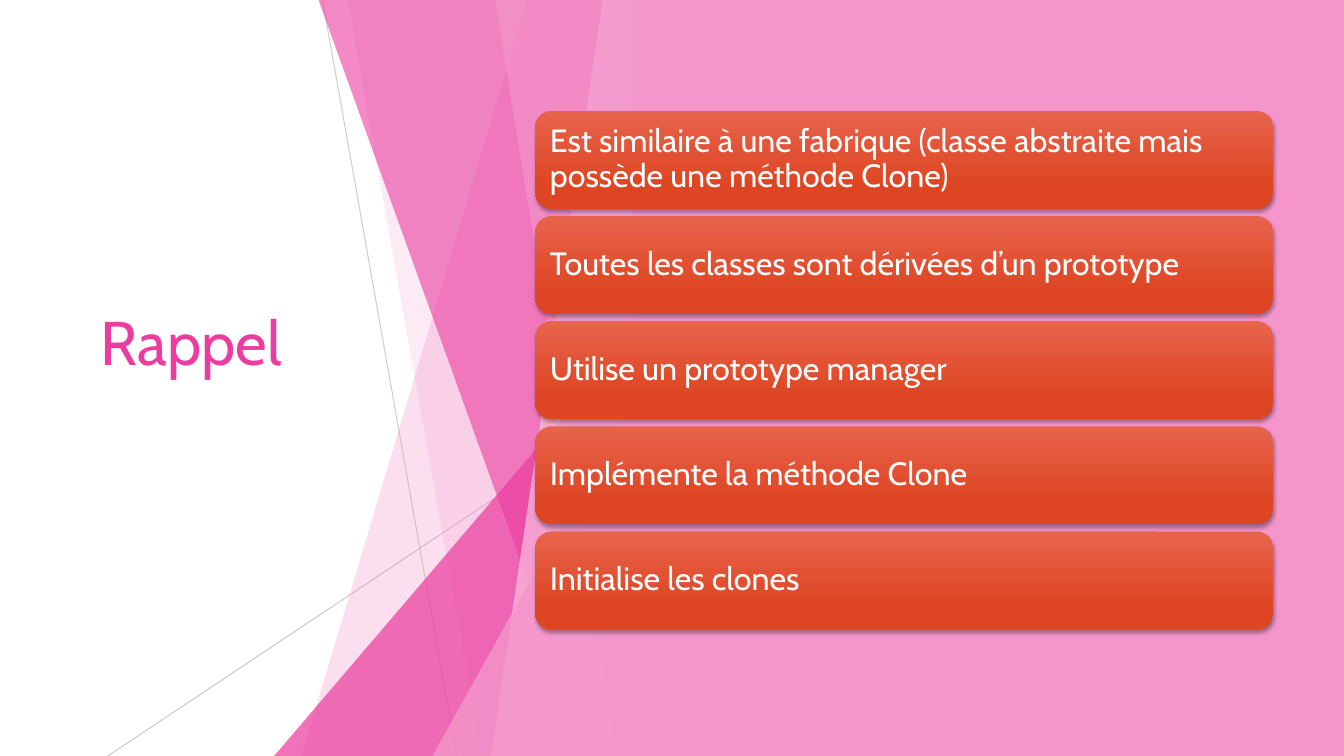
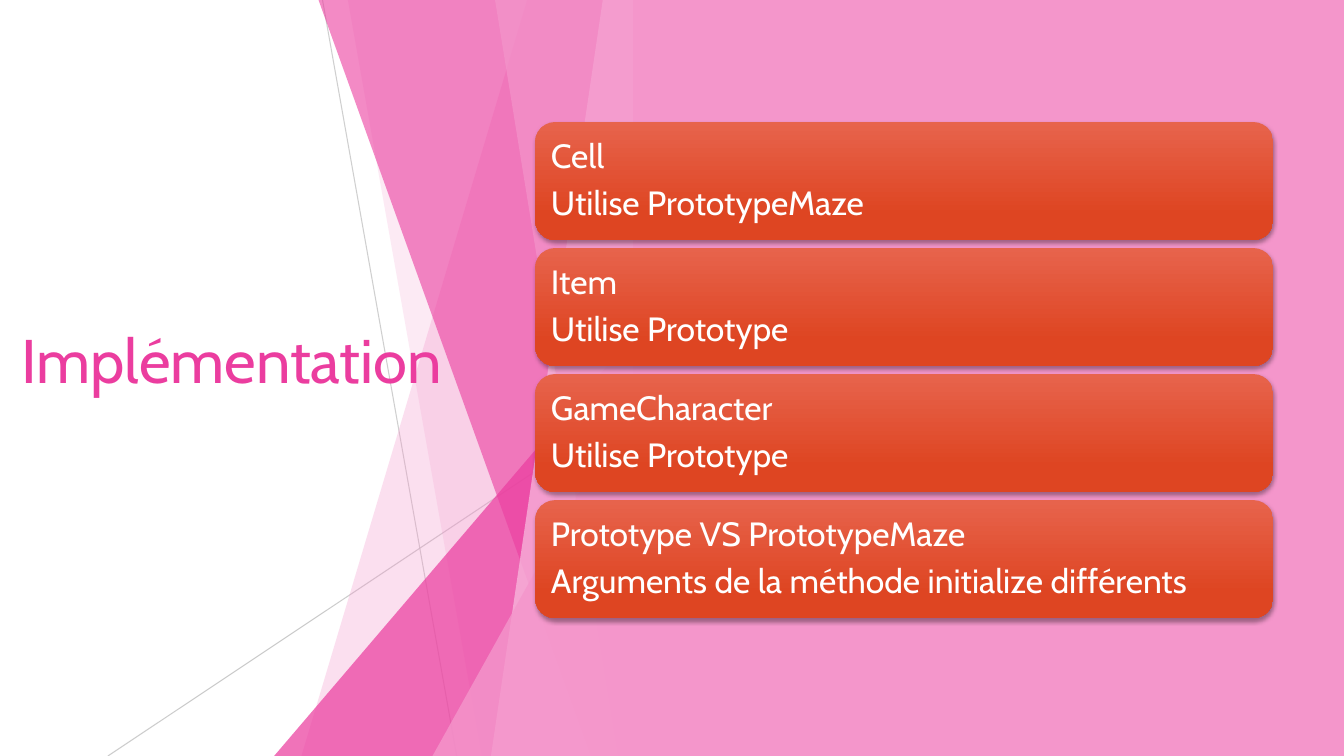
import dataclasses

import lxml.etree
import pptx
import pptx.dml.color
import pptx.enum.shapes
import pptx.enum.text
import pptx.oxml.ns
import pptx.util

Pt = pptx.util.Pt
Inches = pptx.util.Inches
PRESET = pptx.enum.shapes.MSO_SHAPE
ALIGN = pptx.enum.text.PP_ALIGN
MIDDLE = pptx.enum.text.MSO_ANCHOR.MIDDLE
qn = pptx.oxml.ns.qn


@dataclasses.dataclass(frozen=True)
class Theme:
    font: str = "Cabin"
    magenta: str = "EB3D9F"
    pink: str = "F496CB"
    pale: str = "F8C0E0"
    grey: str = "BFBFBF"
    white: str = "FFFFFF"
    shadow: str = "000000"
    card_top: str = "E7634C"
    card_base: str = "DE4522"
    title_size: int = 44
    hairline: float = 0.75


THEME = Theme()
WIDTH, HEIGHT = Inches(13.33), Inches(7.5)

# Lengths below are percentages of the slide's width (x) or height (y).
PANEL_LEFT = 47.1
CARD_LEFT, CARD_WIDTH, CARDS_MIDDLE = 39.83, 54.9, 48.95
TITLE_HEIGHT = 59.73

# Start, end, opacity
HAIRLINES = [
    ((24, 0), (33.98, 100), 75),
    ((PANEL_LEFT, 53.73), (8.03, 100), 80),
]
# Bands give the left edge at top and bottom; wedges give the left and the top.
FACETS = [
    ("band", 39.23, 22.43, THEME.pink, 30),
    ("band", 25.88, 35.85, THEME.pink, 20),
    ("wedge", 20.4, 44.4, THEME.magenta, 72),
    ("band", 23.7, 43.95, THEME.magenta, 60),
    ("band", 44.85, 36.53, THEME.pale, 70),
    ("band", 36.83, 45.98, THEME.pink, 65),
    ("wedge", 32.18, 52.4, THEME.pink, 80),
]

SLIDES = [
    {
        "title": ("Rappel", -0.08, 20.13, 28.65),
        "cards": [
            ["Est similaire à une fabrique (classe abstraite mais possède une méthode Clone)"],
            ["Toutes les classes sont dérivées d’un prototype"],
            ["Utilise un prototype manager"],
            ["Implémente la méthode Clone"],
            ["Initialise les clones"],
        ],
        "card_height": 12.93, "gap": 0.98, "size": 23,
    },
    {
        "title": ("Implémentation", 0, 22.53, 34.5),
        "cards": [
            ["Cell", "Utilise PrototypeMaze"],
            ["Item", "Utilise Prototype"],
            ["GameCharacter", "Utilise Prototype"],
            ["Prototype VS PrototypeMaze", "Arguments de la méthode initialize différents"],
        ],
        "card_height": 15.6, "gap": 1.07, "size": 24,
    },
]


def across(percent):
    return round(WIDTH * percent / 100)


def down(percent):
    return round(HEIGHT * percent / 100)


def point(x, y):
    return across(x), down(y)


def rgb(value):
    return pptx.dml.color.RGBColor.from_string(value)


def apply(target, formats):
    for name, value in formats.items():
        setattr(target, name, value)


def set_opacity(shape, percent):
    for color in shape.element.spPr.iter(qn("a:srgbClr")):
        lxml.etree.SubElement(color, qn("a:alpha"), val=str(percent * 1000))


def paint(shape, color, opacity=100):
    shape.shadow.inherit = False
    shape.line.fill.background()
    shape.fill.solid()
    shape.fill.fore_color.rgb = rgb(color)
    if opacity < 100:
        set_opacity(shape, opacity)


def add_hairline(page, start, end, opacity):
    line = page.shapes.add_connector(
        pptx.enum.shapes.MSO_CONNECTOR.STRAIGHT, *point(*start), *point(*end))
    line.line.width = Pt(THEME.hairline)
    line.line.color.rgb = rgb(THEME.grey)
    set_opacity(line, opacity)
    lxml.etree.SubElement(line.element.spPr, qn("a:effectLst"))


def add_band(page, top_left, bottom_left):
    """Full-height sheet with a slanted left side, ending at the panel."""
    outline = page.shapes.build_freeform(*point(top_left, 0), scale=1.0)
    outline.add_line_segments([
        point(PANEL_LEFT, 0), point(PANEL_LEFT, 100), point(bottom_left, 100)])
    return outline.convert_to_shape()


def add_wedge(page, left, top):
    """Right triangle standing on the slide's base against the panel."""
    wedge = page.shapes.add_shape(
        PRESET.ISOSCELES_TRIANGLE, *point(left, top),
        *point(PANEL_LEFT - left, 100 - top))
    wedge.adjustments[0] = 1
    return wedge


def add_facets(page):
    for hairline in HAIRLINES:
        add_hairline(page, *hairline)
    builders = {"band": add_band, "wedge": add_wedge}
    for kind, first, second, color, opacity in FACETS:
        paint(builders[kind](page, first, second), color, opacity)


def add_panel(page):
    panel = page.shapes.add_shape(
        PRESET.RECTANGLE, *point(PANEL_LEFT, 0), *point(100 - PANEL_LEFT, 100))
    paint(panel, THEME.pink)


def write(box, lines, size, color, frame_formats, para_formats):
    frame = box.text_frame
    apply(frame, {"word_wrap": True, "vertical_anchor": MIDDLE, **frame_formats})
    for index, line in enumerate(lines):
        para = frame.add_paragraph() if index else frame.paragraphs[0]
        apply(para, para_formats)
        span = para.add_run()
        span.text = line
        apply(span.font, {"name": THEME.font, "size": Pt(size)})
        span.font.color.rgb = rgb(color)


def add_title(page, text, left, top, width):
    box = page.shapes.add_textbox(*point(left, top), *point(width, TITLE_HEIGHT))
    # The deep bottom margin lifts the title by half a line.
    write(box, [text], THEME.title_size, THEME.magenta,
          {"margin_bottom": Inches(0.79)}, {"alignment": ALIGN.CENTER})


def add_shadow(shape):
    shape.shadow.inherit = False
    effects = shape.element.spPr.find(qn("a:effectLst"))
    shadow = lxml.etree.SubElement(
        effects, qn("a:outerShdw"), blurRad=str(Pt(3)), dist=str(Pt(2)),
        dir="5400000", rotWithShape="0")
    color = lxml.etree.SubElement(shadow, qn("a:srgbClr"), val=THEME.shadow)
    lxml.etree.SubElement(color, qn("a:alpha"), val="35000")


def add_card(page, lines, top, height, size):
    card = page.shapes.add_shape(
        PRESET.ROUNDED_RECTANGLE, *point(CARD_LEFT, top), *point(CARD_WIDTH, height))
    card.line.fill.background()
    card.fill.gradient()
    card.fill.gradient_angle = 270
    stops = [(0, THEME.card_top), (0.78, THEME.card_base)]
    for stop, (position, color) in zip(card.fill.gradient_stops, stops):
        stop.position = position
        stop.color.rgb = rgb(color)
    add_shadow(card)
    margins = {f"margin_{side}": Inches(0.1)
               for side in ("left", "top", "right", "bottom")}
    write(card, lines, size, THEME.white, margins,
          {"alignment": ALIGN.LEFT, "line_spacing": 0.9,
           "space_after": Pt(round(size * 0.35))})


def add_cards(page, cards, height, gap, size):
    """Stack equal cards around the shared middle line."""
    pitch = height + gap
    first = CARDS_MIDDLE - (len(cards) * pitch - gap) / 2
    for row, lines in enumerate(cards):
        add_card(page, lines, first + row * pitch, height, size)


def main():
    deck = pptx.Presentation()
    apply(deck, {"slide_width": WIDTH, "slide_height": HEIGHT})
    for content in SLIDES:
        page = deck.slides.add_slide(deck.slide_layouts[6])
        add_facets(page)
        add_title(page, *content["title"])
        add_panel(page)
        add_cards(page, content["cards"], content["card_height"],
                  content["gap"], content["size"])
    deck.save("out.pptx")


if __name__ == "__main__":
    main()
